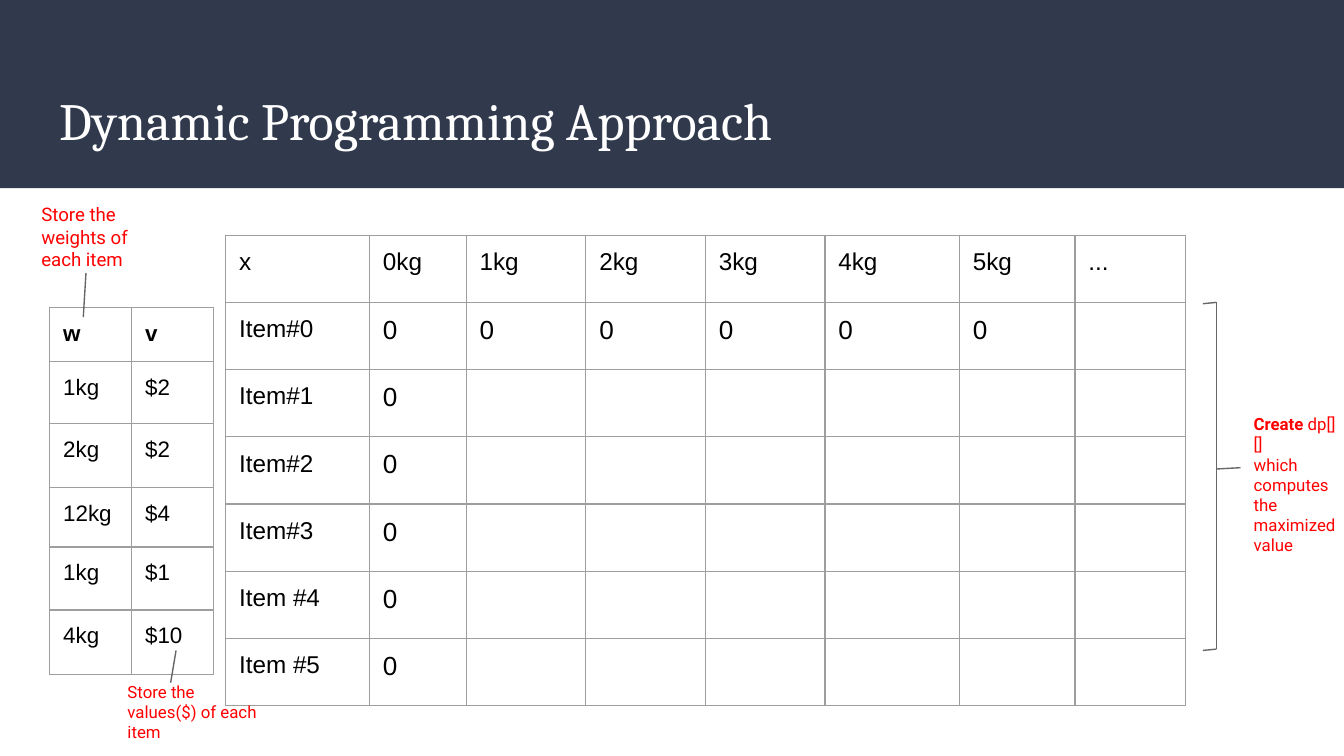
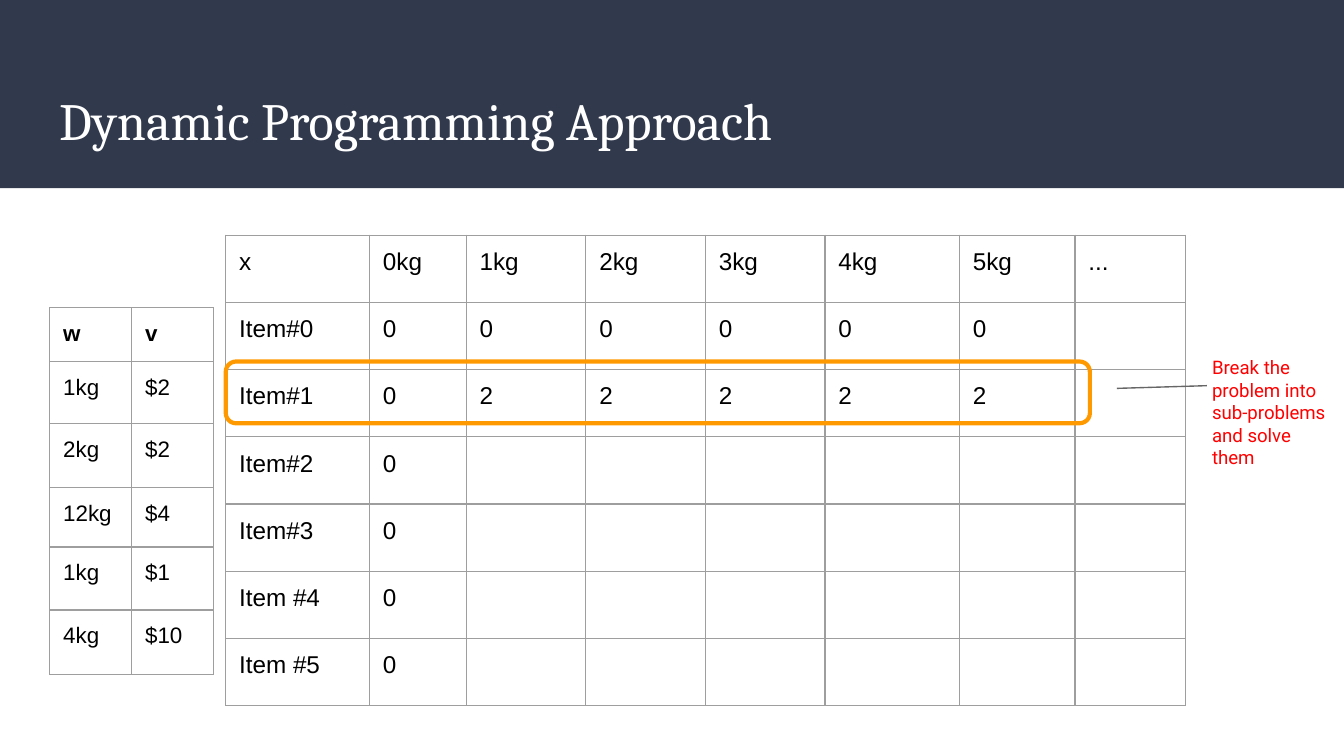
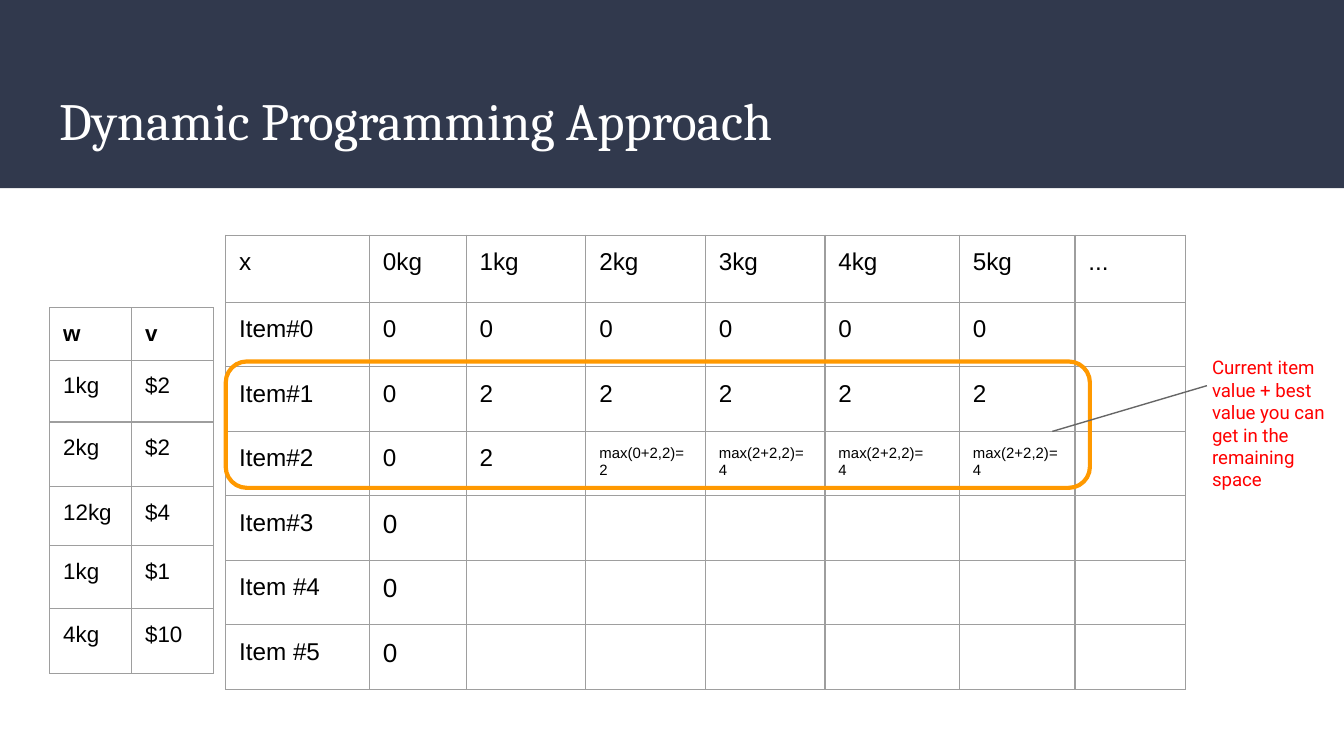
import pptx
import pptx.dml.color
import pptx.enum.shapes
import pptx.enum.text
import pptx.util
from lxml import etree
from pptx.util import Inches

COLORS = {
    "band": "31394D", "title": "FFFFFF", "text": "000000", "note": "FF0000",
    "pointer": "666666", "border": "9E9E9E", "highlight": "FF9900",
}
DRAWING = "http://schemas.openxmlformats.org/drawingml/2006/main"
TITLE = "Dynamic Programming Approach"
INSET = 0.1

# Knapsack data
ITEMS = [("w", "v"), ("1kg", "$2"), ("2kg", "$2"), ("12kg", "$4"),
         ("1kg", "$1"), ("4kg", "$10")]
CAPACITIES = ["x"] + [f"{weight}kg" for weight in range(6)] + ["..."]
ITEM_NAMES = ["Item#0", "Item#1", "Item#2", "Item#3", "Item #4", "Item #5"]
ITEM_WIDTHS = [0.61] * 2
ITEM_HEIGHTS = [0.46, 0.48, 0.44, 0.47, 0.48]
GRID_WIDTHS = [1.07, 0.72, 0.89, 0.89, 0.89, 1, 0.86, 0.82]
ITEM_ROW = ["2"] * 5
MAX_ROW = ["2", "max(0+2,2)=\n2"] + ["max(2+2,2)=\n4"] * 3

ITEM_BOX = (0.37, 2.29)
GRID_BOX = (1.68, 1.75)


def color(name):
    return pptx.dml.color.RGBColor.from_string(COLORS[name])


def place(shape, box):
    shape.left, shape.top, shape.width, shape.height = map(Inches, box)


def set_insets(frame):
    frame.margin_left = frame.margin_right = Inches(INSET)
    frame.margin_top = frame.margin_bottom = Inches(INSET)


def add_run(para, text, size, font, color_name, bold=False):
    span = para.add_run()
    span.text = text
    span.font.size = pptx.util.Pt(size)
    span.font.name = font
    span.font.bold = bold
    span.font.color.rgb = color(color_name)


def add_band(page):
    """Put the dark band on the layout, behind every title."""
    band = page.shapes.add_shape(
        pptx.enum.shapes.MSO_SHAPE.RECTANGLE, 0, 0, Inches(10), Inches(1.4))
    band.shadow.inherit = False
    band.fill.solid()
    band.fill.fore_color.rgb = color("band")
    band.line.fill.background()
    page.slide_layout.shapes._spTree.insert(2, band._element)


def add_title(page, box):
    title = page.shapes.title
    place(title, box)
    frame = title.text_frame
    set_insets(frame)
    frame.auto_size = pptx.enum.text.MSO_AUTO_SIZE.NONE
    frame.vertical_anchor = pptx.enum.text.MSO_ANCHOR.MIDDLE
    para = frame.paragraphs[0]
    para.alignment = pptx.enum.text.PP_ALIGN.LEFT
    add_run(para, TITLE, 28, "Cambria", "title")


def add_pointer(page, start, end):
    pointer = page.shapes.add_connector(
        pptx.enum.shapes.MSO_CONNECTOR.STRAIGHT, *map(Inches, start + end))
    pointer.line.color.rgb = color("pointer")
    pointer.line.width = pptx.util.Pt(0.75)
    etree.SubElement(pointer._element.spPr, f"{{{DRAWING}}}effectLst")


def add_note(page, box, paragraphs, size=10):
    """Each paragraph is a list of (text, bold) pairs."""
    note = page.shapes.add_textbox(*map(Inches, box))
    frame = note.text_frame
    frame.word_wrap = True
    frame.auto_size = pptx.enum.text.MSO_AUTO_SIZE.SHAPE_TO_FIT_TEXT
    set_insets(frame)
    for index, spans in enumerate(paragraphs):
        para = frame.add_paragraph() if index else frame.paragraphs[0]
        for text, bold in spans:
            add_run(para, text, size, "Roboto", "note", bold)


def add_borders(cell):
    properties = cell._tc.get_or_add_tcPr()
    for index, side in enumerate(("lnL", "lnR", "lnT", "lnB")):
        border = etree.Element(f"{{{DRAWING}}}{side}", w=str(pptx.util.Pt(0.75)))
        fill = etree.SubElement(border, f"{{{DRAWING}}}solidFill")
        etree.SubElement(fill, f"{{{DRAWING}}}srgbClr", val=COLORS["border"])
        properties.insert(index, border)


def fill_cell(cell, text, size, bold):
    cell.fill.background()
    set_insets(cell)
    add_borders(cell)
    frame = cell.text_frame
    for index, line in enumerate(text.split("\n")):
        para = frame.add_paragraph() if index else frame.paragraphs[0]
        if line:
            add_run(para, line, size, "Arial", "text", bold)
        else:
            # An empty cell keeps the row at its set height
            etree.SubElement(para._p, f"{{{DRAWING}}}endParaRPr", sz=str(size * 100))


def add_grid(page, corner, widths, heights, rows, size_at, bold_header=False):
    frame = page.shapes.add_table(
        len(rows), len(widths), *map(Inches, (*corner, sum(widths), sum(heights))))
    table = frame.table
    table.first_row = table.horz_banding = False
    for column, width in zip(table.columns, widths):
        column.width = Inches(width)
    for row, height in zip(table.rows, heights):
        row.height = Inches(height)
    for r, texts in enumerate(rows):
        for c, text in enumerate(texts):
            fill_cell(table.cell(r, c), text, size_at(r, c, text),
                      bold_header and r == 0)


def add_item_table(page, header_height=0.4):
    add_grid(page, ITEM_BOX, ITEM_WIDTHS, [header_height] + ITEM_HEIGHTS,
             ITEMS, lambda r, c, text: 12, bold_header=True)


def add_value_table(page, solved, row_height=0.5, large_from=None):
    """Known values follow the 0kg column; zeros are larger from one row on."""
    rows = [CAPACITIES]
    for index, name in enumerate(ITEM_NAMES):
        known = solved[index] if index < len(solved) else []
        rows.append([name, "0"] + known + [""] * (6 - len(known)))

    def size_at(r, c, text):
        if text.startswith("max"):
            return 8
        return 14 if large_from and r >= large_from and text == "0" else 13

    add_grid(page, GRID_BOX, GRID_WIDTHS, [0.5] + [row_height] * 6, rows, size_at)


def add_highlight(page, height):
    frame = page.shapes.add_shape(
        pptx.enum.shapes.MSO_SHAPE.ROUNDED_RECTANGLE,
        *map(Inches, (GRID_BOX[0], 2.69, 6.43, height)))
    frame.shadow.inherit = False
    frame.adjustments[0] = 0.167
    frame.fill.background()
    frame.line.color.rgb = color("highlight")
    frame.line.width = pptx.util.Pt(2.25)


def add_bracket(page, box):
    """Square bracket open to the left, with a stem on its right."""
    left, top, width, height = box
    right, bottom = left + width, top + height
    middle = top + 1.24
    add_pointer(page, (right, middle), (right + 0.18, middle - 0.01))
    add_pointer(page, (right, bottom), (right, top))
    for y in (top, bottom):
        add_pointer(page, (left, y + 0.01), (right, y))


def add_page(deck):
    page = deck.slides.add_slide(deck.slide_layouts[5])
    add_title(page, (0.34, 0.55, 9.32, 0.68))
    return page


def build_setup_page(deck):
    page = add_page(deck)
    add_band(page)
    add_value_table(page, [["0"] * 5], large_from=1)
    add_item_table(page)
    # Notes on the item table
    add_pointer(page, (0.62, 2.36), (0.64, 2.03))
    add_pointer(page, (1.27, 5.08), (1.31, 4.84))
    add_note(page, (0.21, 1.41, 1.06, 0.71),
             [[("Store the weights of each item", False)]])
    add_note(page, (0.85, 4.97, 1.21, 0.66),
             [[("Store the values($) of each item", False)]], size=9)
    # Note on the value table
    add_bracket(page, (8.95, 2.25, 0.1, 2.58))
    add_note(page, (9.23, 2.98, 0.86, 1.26),
             [[("Create ", True), ("dp[][]", False)],
              [("which computes the maximized value", False)]], size=9)


def build_step_page(deck, solved, highlight_height, note, note_height,
                    pointer_start, header_height=0.4, **grid_options):
    page = add_page(deck)
    add_value_table(page, solved, **grid_options)
    add_item_table(page, header_height)
    add_highlight(page, highlight_height)
    add_note(page, (8.92, 2.55, 1.06, note_height), [[(note, False)]])
    add_pointer(page, pointer_start, (8.98, 2.87))


def main():
    deck = pptx.Presentation()
    # Widescreen, 16 to 9
    deck.slide_width = Inches(10)
    deck.slide_height = deck.slide_width * 9 // 16
    build_setup_page(deck)
    build_step_page(deck, [["0"] * 5, ITEM_ROW], 0.46,
                    "Break the problem into sub-problems and solve them",
                    1.04, (8.31, 2.89))
    build_step_page(deck, [["0"] * 5, ITEM_ROW, MAX_ROW], 0.94,
                    "Current item value + best value you can get in the remaining space",
                    1.21, (7.83, 3.21), header_height=0.39,
                    row_height=0.48, large_from=4)
    deck.save("out.pptx")


if __name__ == "__main__":
    main()
